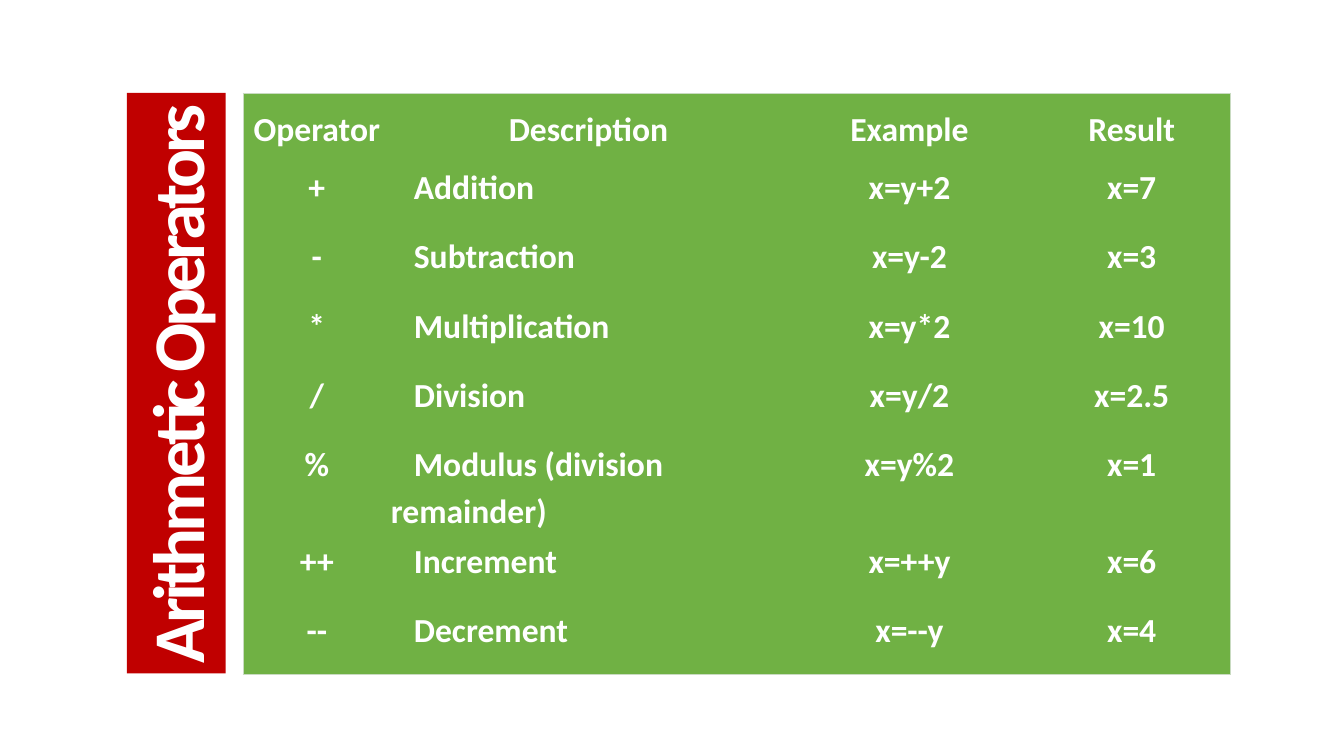
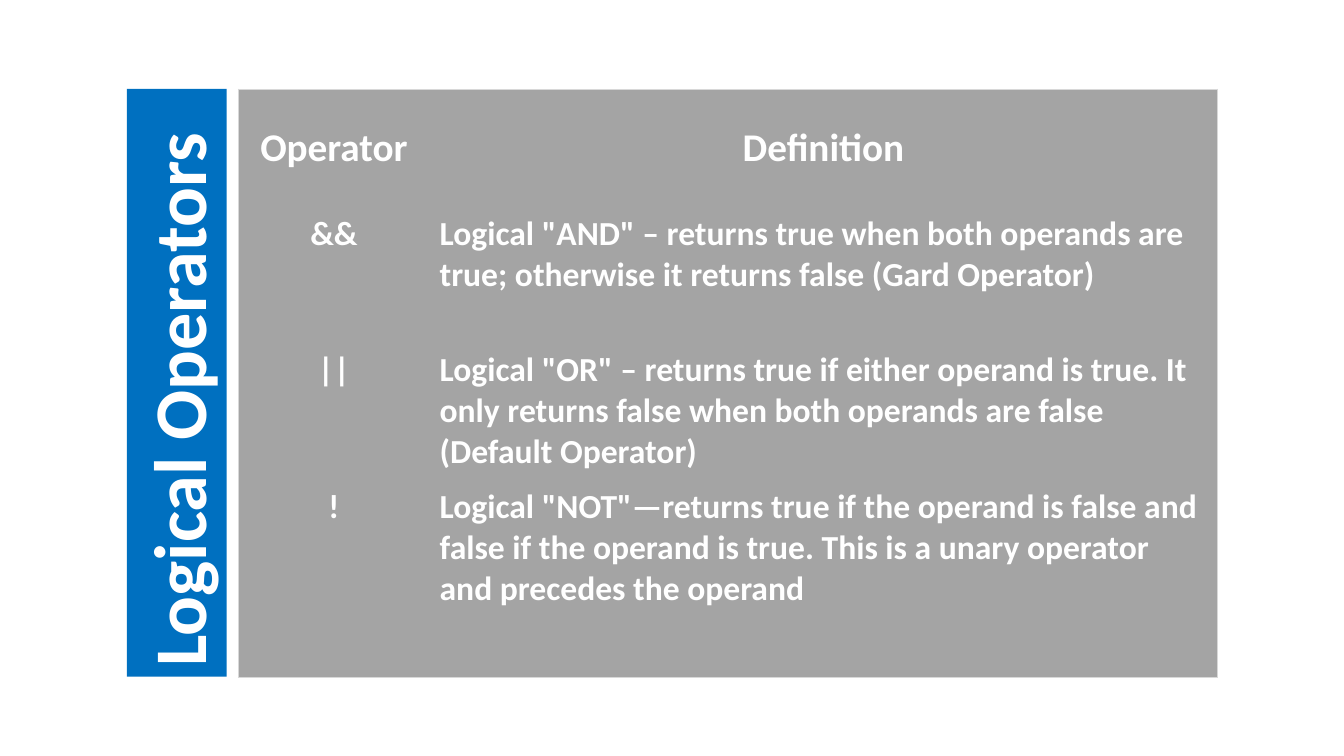
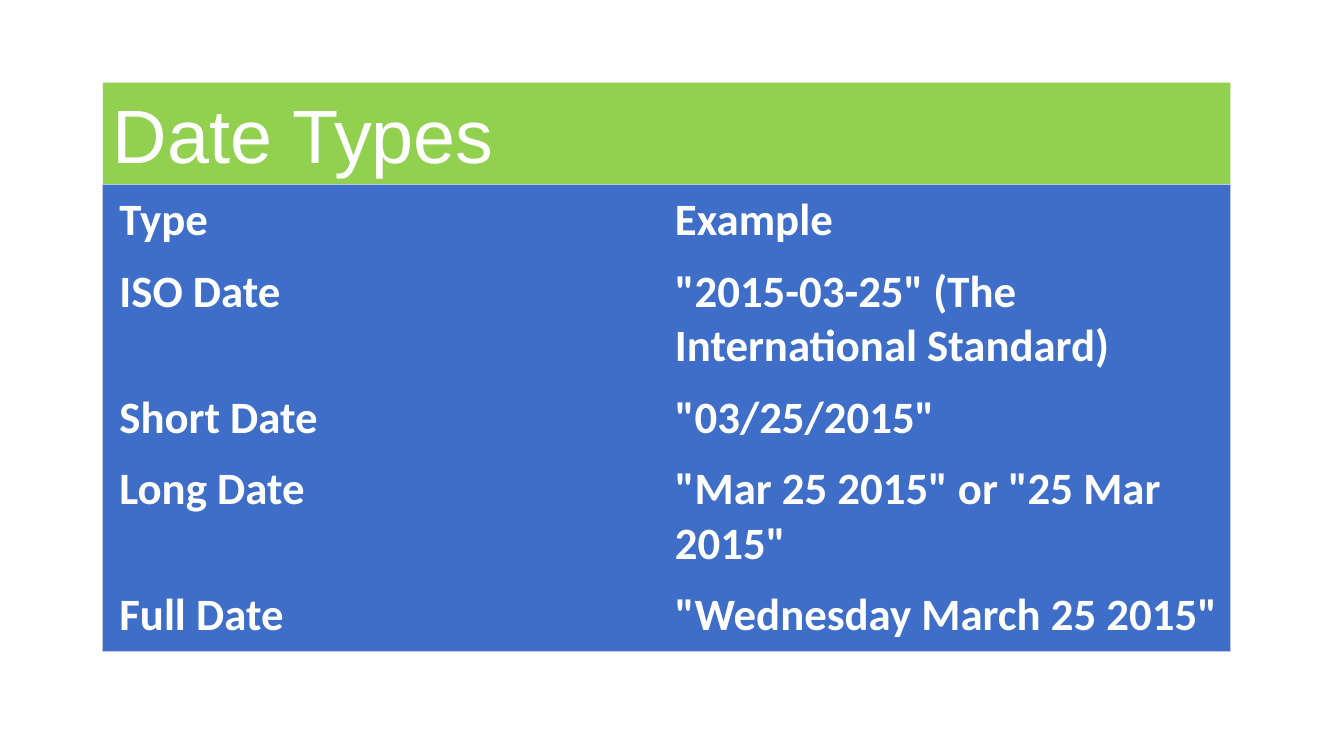
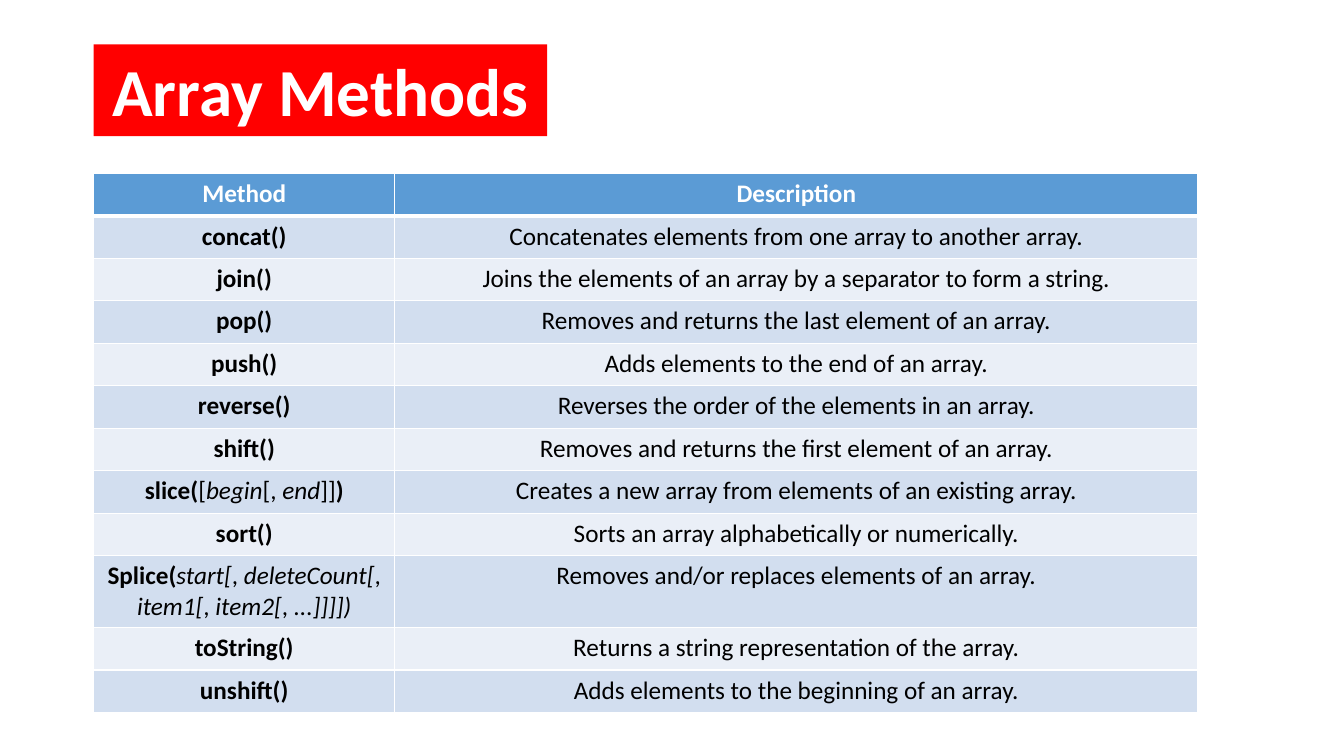
"""Build four slides of operator, date and array method tables."""
from lxml.etree import SubElement
from pptx import Presentation
from pptx.dml.color import RGBColor
from pptx.enum.text import MSO_ANCHOR, MSO_AUTO_SIZE, PP_ALIGN
from pptx.oxml.ns import qn
from pptx.util import Cm, Pt

WHITE = "FFFFFF"
BLACK = "000000"
ALIGN = {"l": PP_ALIGN.LEFT, "c": PP_ALIGN.CENTER}


def hue(code):
    """Turn a hex string into a colour."""
    return RGBColor.from_string(code)


def edge(cell, sides):
    """Draw the left, right, top and bottom borders of a cell."""
    props = cell._tc.get_or_add_tcPr()
    for place, (side, (code, width)) in enumerate(zip("LRTB", sides)):
        line = SubElement(props, qn(f"a:ln{side}"), w=str(Pt(width)))
        if code:
            fill = SubElement(line, qn("a:solidFill"))
            SubElement(fill, qn("a:srgbClr"), val=code)
        else:
            SubElement(line, qn("a:noFill"))
        props.insert(place, line)


math = dict(
    title="Arithmetic Operators", band=(3.2, 2.34, 2.49, 14.63), tint="C00000",
    size=52, turn=True, wrap=False, track=-3,
    spot=(6.12, 2.34), cols=[3.73, 9.96, 6.22, 4.98],
    tall=[1.74] * 5 + [2.46] + [1.74] * 2,
    fills=["70B144"] * 3, rim="C9DBC1", head=24, text=24,
    align=("cccc", "clcc"), pad=(0, 0, 0, 0), lead=1.15, after=10, indent=0.58,
    rows=[
        ["Operator", "Description", "Example", "Result"],
        ["+", "Addition", "x=y+2", "x=7"],
        ["-", "Subtraction", "x=y-2", "x=3"],
        ["*", "Multiplication", "x=y*2", "x=10"],
        ["/", "Division", "x=y/2", "x=2.5"],
        ["%", "Modulus (division remainder)", "x=y%2", "x=1"],
        ["++", "Increment", "x=++y", "x=6"],
        ["--", "Decrement", "x=--y", "x=4"],
    ])

logic = dict(
    title="Logical Operators", band=(3.2, 2.24, 2.51, 14.81), tint="0070C0",
    size=53, turn=True,
    spot=(6, 2.24), cols=[4.83, 19.84], tall=[3, 3.45, 3.45, 4.93],
    fills=["A4A4A4"] * 3, rim="D8D8D8", head=28, text=24, align=("cc", "cl"),
    rows=[
        ["Operator", "Definition"],
        ["&&", 'Logical "AND" – returns true when both operands are true; '
               "otherwise it returns false (Gard Operator)"],
        ["||", 'Logical "OR" – returns true if either operand is true. It only '
               "returns false when both operands are false (Default Operator)"],
        ["!", 'Logical "NOT"—returns true if the operand is false and false if '
              "the operand is true. This is a unary operator and precedes the operand"],
    ])

dates = dict(
    title="Date Types", band=(2.59, 2.08, 28.42, 2.57), tint="92D050",
    size=54, face="Arial", bold=False,
    spot=(2.59, 4.65), cols=[14.21] * 2, tall=[1.8, 3.17, 1.8, 3.17, 1.8],
    fills=["3E6EC8"] * 3, rim="C1C9E4", head=32, text=32, align=("ll", "ll"),
    pad=(0.21, 0.21, 0.21, 0.21), first=0.42, anchor=MSO_ANCHOR.TOP,
    rows=[
        ["Type", "Example"],
        ["ISO Date", '"2015-03-25" (The International Standard)'],
        ["Short Date", '"03/25/2015"'],
        ["Long Date", '"Mar 25 2015" or "25 Mar 2015"'],
        ["Full Date", '"Wednesday March 25 2015"'],
    ])

slice_runs = [("slice(", "b"), ("[", ""), ("begin", "i"), ("[, ", ""),
              ("end", "i"), ("]]", ""), (")", "b")]
splice_runs = [("Splice(", "b"), ("start[", "i"), (", ", ""), ("deleteCount[", "i"),
               (", ", ""), ("item1[", "i"), (", ", ""), ("item2[", "i"),
               (", ", ""), ("...]]]])", "i")]
lists = dict(
    title="Array Methods", band=(2.36, 1.12, 11.43, 2.31), tint="FF0000",
    size=48, side="c",
    spot=(2.36, 4.37), cols=[7.59, 20.24], tall=[1.07] * 9 + [1.8] + [1.07] * 2,
    fills=["5B9BD5", "D2DEEF", "EAEFF7"], rim=WHITE, grid=True,
    head=18, text=18, ink=BLACK, plain=True, align=("cc", "cc"),
    anchor=MSO_ANCHOR.TOP,
    rows=[
        ["Method", "Description"],
        ["concat()", "Concatenates elements from one array to another array."],
        ["join()", "Joins the elements of an array by a separator to form a string."],
        ["pop()", "Removes and returns the last element of an array."],
        ["push()", "Adds elements to the end of an array."],
        ["reverse()", "Reverses the order of the elements in an array."],
        ["shift()", "Removes and returns the first element of an array."],
        [slice_runs, "Creates a new array from elements of an existing array."],
        ["sort()", "Sorts an array alphabetically or numerically."],
        [splice_runs, "Removes and/or replaces elements of an array."],
        ["toString()", "Returns a string representation of the array."],
        ["unshift()", "Adds elements to the beginning of an array."],
    ])

deck = Presentation()
deck.slide_width, deck.slide_height = Cm(33.87), Cm(19.05)

for page in (math, logic, dates, lists):
    slide = deck.slides.add_slide(deck.slide_layouts[5])

    title = slide.shapes.title
    left, top, wide, high = page["band"]
    if page.get("turn"):
        left, top = left + (wide - high) / 2, top + (high - wide) / 2
        wide, high = high, wide
        title.rotation = 270
    title.left, title.top = Cm(left), Cm(top)
    title.width, title.height = Cm(wide), Cm(high)
    title.fill.solid()
    title.fill.fore_color.rgb = hue(page["tint"])
    frame = title.text_frame
    frame.auto_size = MSO_AUTO_SIZE.NONE
    frame.word_wrap = page.get("wrap", True)
    frame.vertical_anchor = MSO_ANCHOR.TOP
    para = frame.paragraphs[0]
    para.alignment = ALIGN[page.get("side", "l")]
    run = para.add_run()
    run.text = page["title"]
    run.font.name = page.get("face", "Calibri")
    run.font.size = Pt(page["size"])
    run.font.bold = page.get("bold", True)
    run.font.color.rgb = hue(WHITE)
    if "track" in page:
        run._r.get_or_add_rPr().set("spc", str(page["track"] * 100))

    rows, cols, tall = page["rows"], page["cols"], page["tall"]
    left, top = page["spot"]
    table = slide.shapes.add_table(len(rows), len(cols), Cm(left), Cm(top),
                                   Cm(sum(cols)), Cm(sum(tall))).table
    table.first_row = table.horz_banding = False
    for col, wide in zip(table.columns, cols):
        col.width = Cm(wide)
    for row, high in zip(table.rows, tall):
        row.height = Cm(high)

    for r, row in enumerate(rows):
        for c, item in enumerate(row):
            cell = table.cell(r, c)
            pad = list(page.get("pad", (0.25, 0.13, 0.25, 0.13)))
            if c == 0:
                pad[0] = page.get("first", pad[0])
            (cell.margin_left, cell.margin_top,
             cell.margin_right, cell.margin_bottom) = map(Cm, pad)
            head = r == 0
            cell.vertical_anchor = (page.get("anchor", MSO_ANCHOR.MIDDLE) if head
                                    else MSO_ANCHOR.TOP)
            cell.fill.solid()
            shade = 0 if head else 2 - r % 2
            cell.fill.fore_color.rgb = hue(page["fills"][shade])

            rim = page["rim"]
            if page.get("grid"):
                sides = [(rim, 1), (rim, 1), (rim, 3 if r == 1 else 1),
                         (rim, 3 if head else 1)]
            else:
                outer = (c == 0, c == len(cols) - 1, head, r == len(rows) - 1)
                sides = [(rim if out else None, 0.5) for out in outer]
            edge(cell, sides)

            para = cell.text_frame.paragraphs[0]
            side = page["align"][0 if head else 1][c]
            para.alignment = ALIGN[side]
            if "lead" in page:
                para.line_spacing = page["lead"]
                para.space_after = Pt(page["after"])
            if "indent" in page and side == "l":
                para._p.get_or_add_pPr().set("indent", str(Cm(page["indent"])))
            if isinstance(item, str):
                light = page.get("plain") and c and not head
                item = [(item, "" if light else "b")]
            for text, style in item:
                run = para.add_run()
                run.text = text
                run.font.name = "Calibri"
                run.font.size = Pt(page["head" if head else "text"])
                run.font.bold = style == "b"
                run.font.italic = style == "i"
                run.font.color.rgb = hue(WHITE if head else page.get("ink", WHITE))

deck.save("out.pptx")
